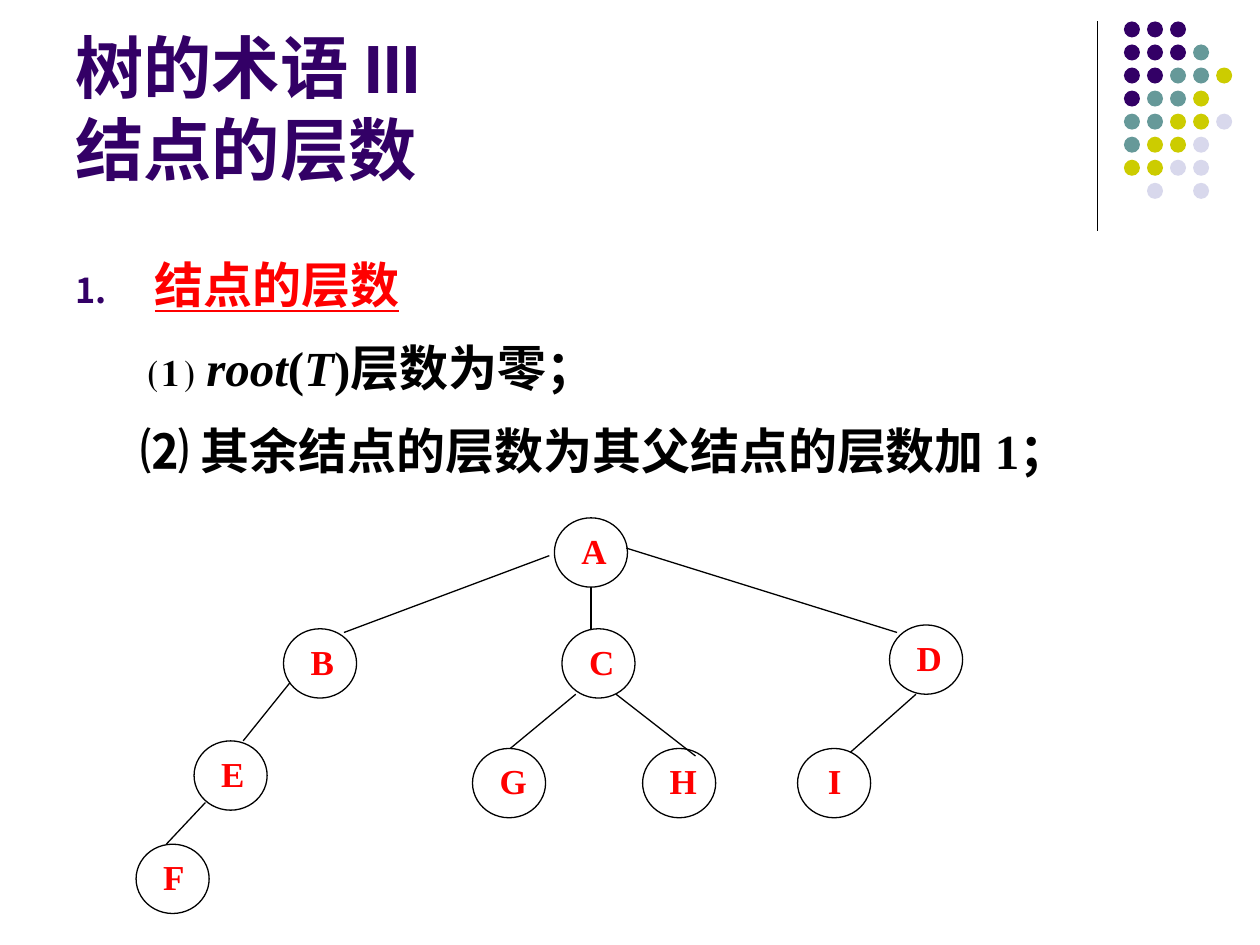
from collections import namedtuple

from lxml.etree import SubElement
from pptx import Presentation
from pptx.dml.color import RGBColor as Rgb
from pptx.enum.shapes import MSO_CONNECTOR as Connector, MSO_SHAPE as Shape
from pptx.enum.text import MSO_ANCHOR as Anchor, PP_ALIGN as Align
from pptx.oxml.ns import qn
from pptx.util import Inches, Pt

COLORS = {"purple": "330066", "teal": "669999", "lime": "CCCC00",
          "mist": "D8D8EC", "red": "FF0000", "black": "000000"}
Box = namedtuple("Box", "left top width height")


def grid(count):
    """Ten columns or rows of the page grid make an inch."""
    return Inches(count / 10)


def color(name):
    return Rgb.from_string(COLORS[name])


def add_span(para, text, shade, **formats):
    span = para.add_run()
    span.text = text
    for key, value in formats.items():
        setattr(span.font, key, value)
    span.font.color.rgb = color(shade)


def add_text_box(page, box, inset=True, anchor=Anchor.TOP):
    frame = page.shapes.add_textbox(*map(grid, box)).text_frame
    settings = {"word_wrap": True, "vertical_anchor": anchor}
    if not inset:
        settings.update(dict.fromkeys(
            ("margin_left", "margin_top", "margin_right", "margin_bottom"), 0))
    for key, value in settings.items():
        setattr(frame, key, value)
    return frame


def add_line(page, start, end):
    line = page.shapes.add_connector(
        Connector.STRAIGHT, *map(grid, (*start, *end)))
    line.line.color.rgb = color("black")
    line.line.width = Pt(0.75)
    SubElement(line._element.spPr, qn("a:effectLst"))


def add_oval(page, box, fill=None):
    oval = page.shapes.add_shape(Shape.OVAL, *map(grid, box))
    oval.shadow.inherit = False
    if fill:
        oval.fill.solid()
        oval.fill.fore_color.rgb = color(fill)
        oval.line.fill.background()
    else:
        oval.fill.background()
        oval.line.color.rgb = color("black")
        oval.line.width = Pt(0.75)


def add_dots(page, box):
    """Rule on the left edge, then a pattern of dots; one letter per dot."""
    add_line(page, (box.left, box.top), (box.left, box.top + box.height))
    shades = {"p": "purple", "t": "teal", "l": "lime", "m": "mist"}
    rows = ("ppp", "pppt", "ppttl", "pttl", "ttllm", "tllm", "llmm", ".m.m")
    pitch, size = 1.83, 1.27
    for row, pattern in enumerate(rows):
        for column, letter in enumerate(pattern):
            if letter in shades:
                add_oval(page, Box(box.left + 2.1 + column * pitch,
                                   box.top + row * pitch, size, size),
                         shades[letter])


def add_title(page, box):
    para = add_text_box(page, box, anchor=Anchor.BOTTOM).paragraphs[0]
    look = {"name": "Arial", "size": Pt(39), "bold": True}
    add_span(para, "树的术语 III", "purple", **look)
    para.add_line_break()
    add_span(para, "结点的层数", "purple", **look)


def add_number(props):
    shade = SubElement(props, qn("a:buClr"))
    SubElement(shade, qn("a:srgbClr"), val=COLORS["purple"])
    SubElement(props, qn("a:buSzPct"), val="70000")
    SubElement(props, qn("a:buFont"), typeface="Arial")
    SubElement(props, qn("a:buAutoNum"), type="arabicPeriod")


def add_definition(page, box):
    # Each paragraph: left margin, first-line indent, colour, spans
    paras = (
        (6.3, -6.3, "red", [("结点的层数", {"underline": True})]),
        (5.8, 0, "black", [("⑴ ", {}), ("root", {"italic": True}), ("(", {}),
                           ("T", {"italic": True}), (")层数为零；", {})]),
        (5.2, 0, "black", [("⑵ 其余结点的层数为其父结点的层数加 1；", {})]),
    )
    frame = add_text_box(page, box)
    for index, (margin, indent, shade, spans) in enumerate(paras):
        para = frame.add_paragraph() if index else frame.paragraphs[0]
        para.alignment = Align.JUSTIFY
        para.line_spacing = 1.2
        para.space_before = Pt(7 if index else 0)
        props = para._p.get_or_add_pPr()
        props.set("marL", str(grid(margin)))
        props.set("indent", str(grid(indent)))
        if indent:
            add_number(props)
        for text, extra in spans:
            add_span(para, text, shade, name="Times New Roman",
                     size=Pt(28), bold=True, **extra)


def add_tree(page, box):
    # Corners of the nodes and ends of the branches, from the tree's corner
    nodes = {"A": (33.2, 0), "B": (11.7, 8.8), "C": (33.8, 8.8),
             "D": (59.8, 8.5), "E": (4.6, 17.7), "F": (0, 25.9),
             "G": (26.7, 18.3), "H": (40.2, 18.3), "I": (52.5, 18.3)}
    branches = {"AB": (32.8, 3, 16.5, 9.1), "AC": (36.1, 5.5, 36.1, 8.8),
                "AD": (38.9, 2.4, 60.4, 9.1), "BE": (12.2, 13.1, 8.5, 17.7),
                "CH": (38.1, 14, 44.4, 18.9), "CG": (34.9, 14, 29.7, 18.3),
                "DI": (61.9, 14, 56.7, 18.6), "EF": (5.5, 22.6, 2.4, 25.9)}
    for name, (column, row) in nodes.items():
        left, top = box.left + column, box.top + row
        add_oval(page, Box(left, top, 5.8, 5.5))
        shift = 2.4 if name == "I" else 2.15
        label = add_text_box(page, Box(left + shift, top + 0.9, 1.8, 3.7),
                             inset=False)
        add_span(label.paragraphs[0], name, "red", name="Times New Roman",
                 size=Pt(20), bold=True)
    for x1, y1, x2, y2 in branches.values():
        add_line(page, (box.left + x1, box.top + y1),
                 (box.left + x2, box.top + y2))


def main():
    deck = Presentation()
    deck.slide_width, deck.slide_height = grid(100), grid(75)
    page = deck.slides.add_slide(deck.slide_layouts[6])
    add_dots(page, Box(87.1, 1.7, 10.7, 16.6))
    add_title(page, Box(5, 1.3, 82.5, 14.2))
    add_definition(page, Box(5, 18.8, 90, 48.2))
    add_tree(page, Box(10.8, 41.1, 65.6, 31.4))
    deck.save("out.pptx")


if __name__ == "__main__":
    main()
